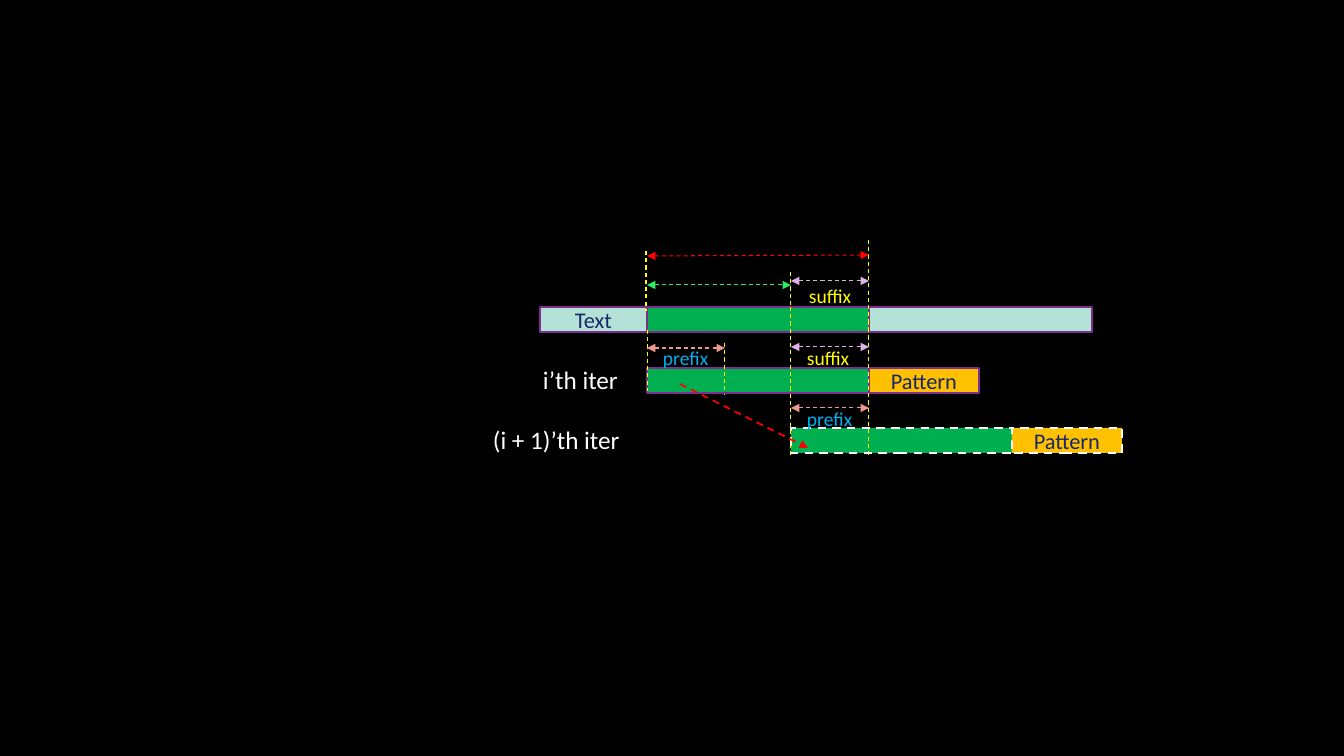
import dataclasses

import lxml.etree
import pptx
import pptx.dml.color
import pptx.enum.dml
import pptx.enum.shapes
import pptx.enum.text
import pptx.oxml.ns
import pptx.util

PX = 9071.43


@dataclasses.dataclass(frozen=True)
class Theme:
    font: str = "Calibri"
    bar_size: int = 16
    match_size: int = 14
    row_size: int = 18
    background: str = "000000"
    ink: str = "18276C"
    white: str = "FFFFFF"
    matched: str = "00B050"
    text: str = "B4E1D6"
    pattern: str = "FFC000"
    border: str = "7F2E8F"
    guide: str = "FFFF00"
    suffix: str = "FFFF00"
    prefix: str = "00B0F0"
    suffix_span: str = "DEB2E6"
    prefix_span: str = "EE9791"
    match_span: str = "FF0000"
    shift_span: str = "2CEC67"


def px(length):
    return pptx.util.Emu(round(length * PX))


def rgb(colour):
    return pptx.dml.color.RGBColor.from_string(colour)


class Diagram:
    def __init__(self, slide, theme):
        self.slide = slide
        self.theme = theme
        slide.background.fill.solid()
        slide.background.fill.fore_color.rgb = rgb(theme.background)

    def stroke(self, line, colour, width, dashed):
        line.color.rgb = rgb(colour)
        line.width = pptx.util.Pt(width)
        if dashed:
            line.dash_style = pptx.enum.dml.MSO_LINE.DASH

    def add_words(self, frame, words, size, colour):
        run = frame.paragraphs[0].add_run()
        run.text = words
        run.font.name = self.theme.font
        run.font.size = pptx.util.Pt(size)
        run.font.color.rgb = rgb(colour)

    def bar(self, left, right, top, fill, words="", border=None, dashed=False):
        bar = self.slide.shapes.add_shape(
            pptx.enum.shapes.MSO_SHAPE.RECTANGLE,
            px(left), px(top), px(right - left), px(BAR_HEIGHT))
        bar.shadow.inherit = False
        bar.fill.solid()
        bar.fill.fore_color.rgb = rgb(fill)
        self.stroke(bar.line, border or self.theme.border, 1.5, dashed)
        if words:
            frame = bar.text_frame
            frame.vertical_anchor = pptx.enum.text.MSO_ANCHOR.MIDDLE
            frame.paragraphs[0].alignment = pptx.enum.text.PP_ALIGN.CENTER
            self.add_words(frame, words, self.theme.bar_size, self.theme.ink)

    def label(self, left, top, width, height, words, size, colour):
        box = self.slide.shapes.add_textbox(px(left), px(top), px(width), px(height))
        box.text_frame.word_wrap = True
        box.text_frame.auto_size = pptx.enum.text.MSO_AUTO_SIZE.SHAPE_TO_FIT_TEXT
        self.add_words(box.text_frame, words, size, colour)

    def line(self, start, end, colour, arrows=(), width=0.75):
        line = self.slide.shapes.add_connector(
            pptx.enum.shapes.MSO_CONNECTOR.STRAIGHT,
            px(start[0]), px(start[1]), px(end[0]), px(end[1]))
        self.stroke(line.line, colour, width, True)
        properties = line._element.spPr
        outline = properties.find(pptx.oxml.ns.qn("a:ln"))
        for arrow in arrows:
            lxml.etree.SubElement(outline, pptx.oxml.ns.qn(arrow), type="triangle")
        lxml.etree.SubElement(properties, pptx.oxml.ns.qn("a:effectLst"))

    def guide(self, x, top, bottom):
        self.line((x, top), (x, bottom), self.theme.guide)

    def span(self, left, right, y, colour, rise=0):
        self.line((left, y), (right, y - rise), colour, ("a:headEnd", "a:tailEnd"))


BAR_HEIGHT = 25
TEXT_TOP, PATTERN_TOP, SHIFTED_TOP = 307, 368, 428
TEXT_LEFT, TEXT_RIGHT = 540, 1092
MATCH_LEFT, MATCH_RIGHT = 647, 869
SHIFTED_LEFT, SHIFTED_MATCH_RIGHT = 791, 1012
REST_WIDTH = 110


def main():
    theme = Theme()
    deck = pptx.Presentation()
    deck.slide_width, deck.slide_height = px(1344), px(756)
    diagram = Diagram(deck.slides.add_slide(deck.slide_layouts[6]), theme)

    diagram.bar(MATCH_LEFT, MATCH_RIGHT, PATTERN_TOP, theme.matched)
    diagram.bar(TEXT_LEFT, MATCH_LEFT, TEXT_TOP, theme.text, "Text")
    diagram.bar(MATCH_LEFT, MATCH_RIGHT, TEXT_TOP, theme.matched)
    diagram.bar(MATCH_RIGHT, TEXT_RIGHT, TEXT_TOP, theme.text)
    diagram.bar(MATCH_RIGHT, MATCH_RIGHT + REST_WIDTH, PATTERN_TOP, theme.pattern, "Pattern")
    diagram.bar(SHIFTED_LEFT, SHIFTED_MATCH_RIGHT, SHIFTED_TOP, theme.matched,
                border=theme.white, dashed=True)
    diagram.bar(SHIFTED_MATCH_RIGHT, SHIFTED_MATCH_RIGHT + REST_WIDTH, SHIFTED_TOP,
                theme.pattern, "Pattern", theme.white, True)

    for left, top, words, colour in (
            (799, 279, "suffix", theme.suffix),
            (653, 341, "prefix", theme.prefix),
            (797, 341, "suffix", theme.suffix),
            (797, 402, "prefix", theme.prefix)):
        diagram.label(left, top, 73, 34, words, theme.match_size, colour)
    for left, top, width, words in (
            (533, 359, 101, "i’th iter"),
            (483, 419, 159, "(i + 1)’th iter")):
        diagram.label(left, top, width, 40, words, theme.row_size, theme.white)

    for x, top, bottom in (
            (MATCH_RIGHT, 240, 333), (MATCH_RIGHT, 321, 455),
            (SHIFTED_LEFT, 272, 307), (SHIFTED_LEFT, 307, 455),
            (646, 251, 311), (648, 330, 391), (725, 343, 394)):
        diagram.guide(x, top, bottom)

    diagram.span(MATCH_LEFT, MATCH_RIGHT, 256, theme.match_span, rise=1)
    diagram.span(MATCH_LEFT, SHIFTED_LEFT, 285, theme.shift_span)
    diagram.span(MATCH_LEFT, 725, 348, theme.prefix_span)
    for y, colour in ((281, theme.suffix_span), (347, theme.suffix_span),
                      (408, theme.prefix_span)):
        diagram.span(SHIFTED_LEFT, MATCH_RIGHT, y, colour)
    diagram.line((680, 384), (808, 448), theme.match_span, ("a:tailEnd",), 1.25)

    deck.save("out.pptx")


if __name__ == "__main__":
    main()
